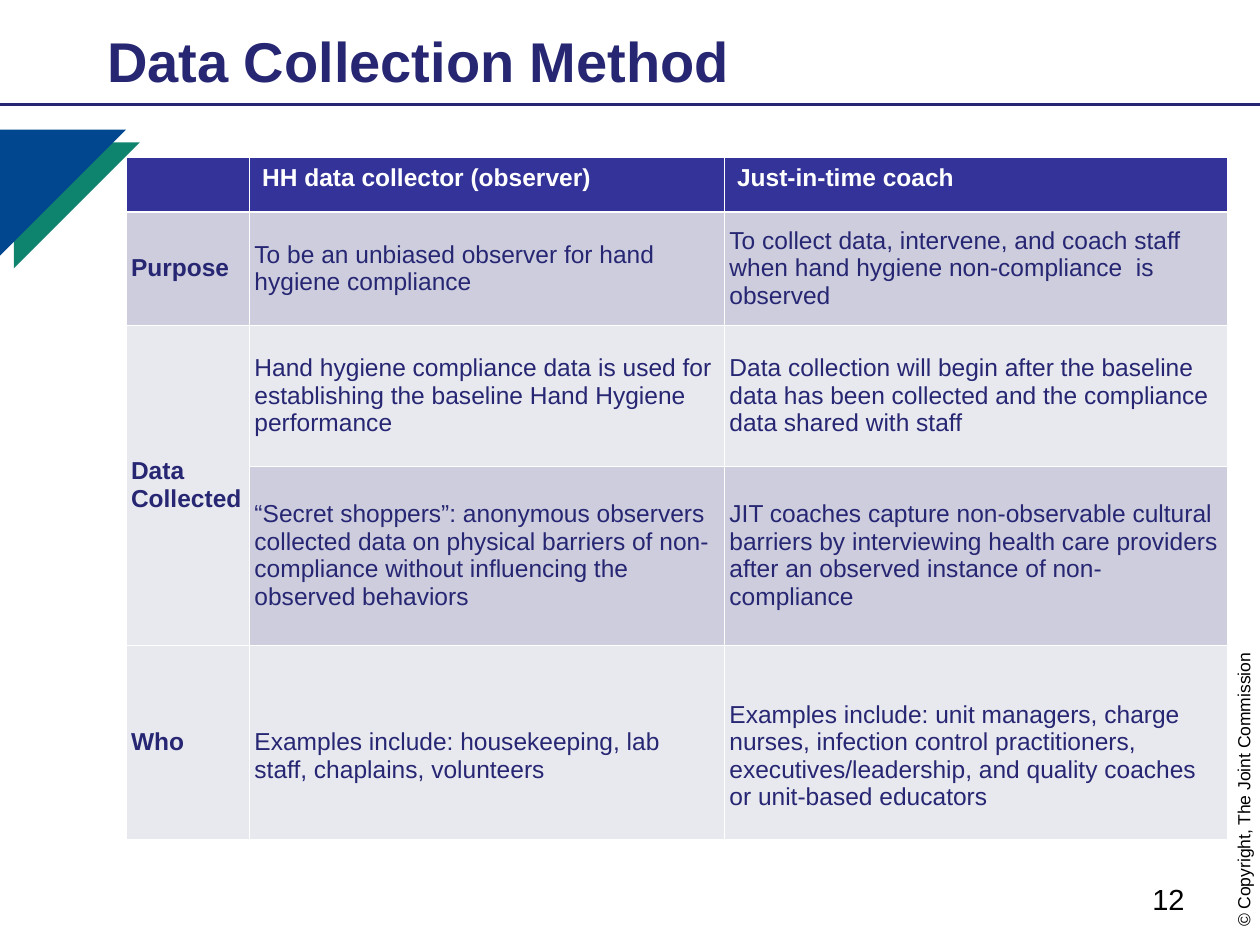
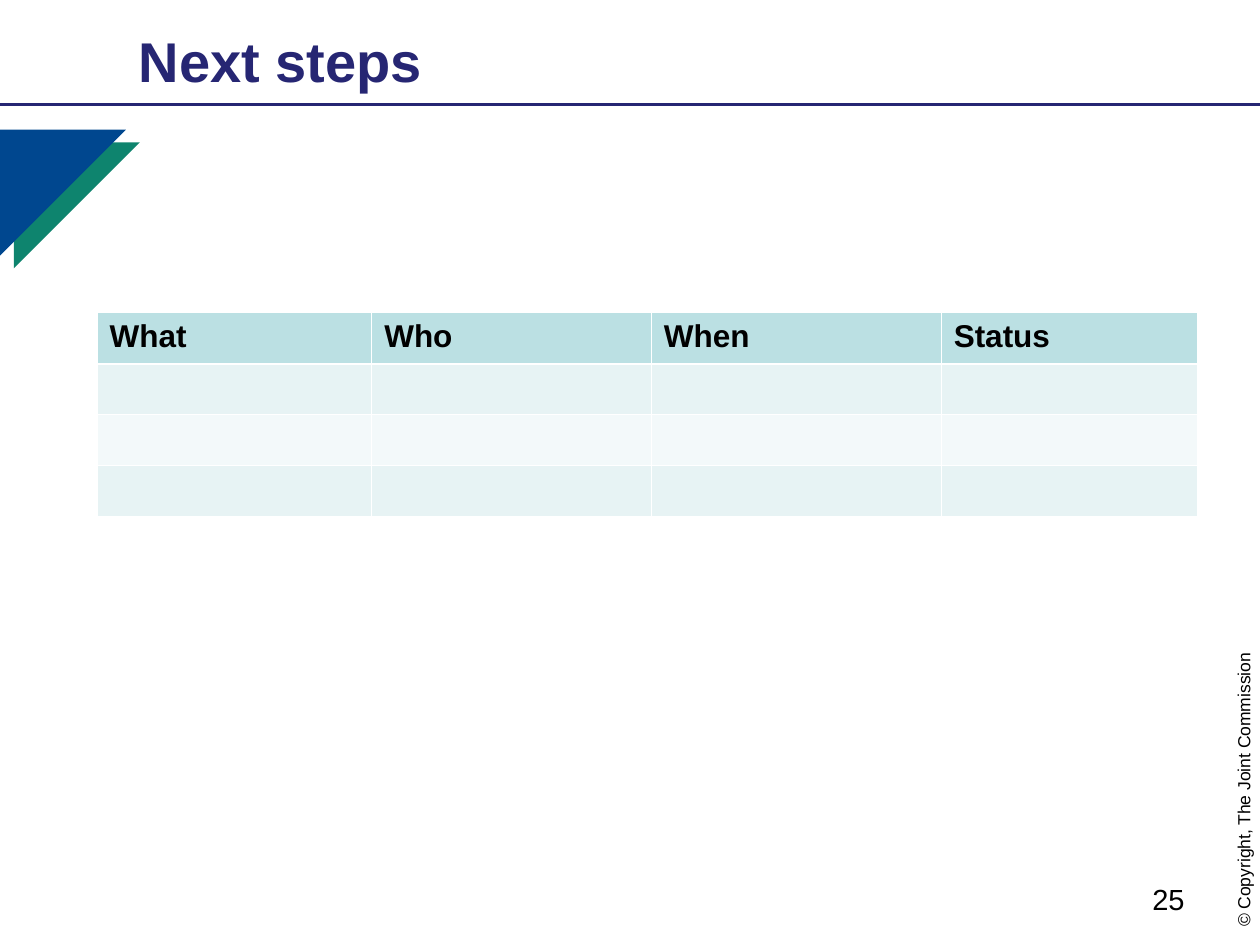
from lxml import etree
from pptx import Presentation
from pptx.dml.color import RGBColor
from pptx.enum.shapes import MSO_CONNECTOR
from pptx.enum.text import MSO_ANCHOR, MSO_AUTO_SIZE, PP_ALIGN
from pptx.oxml.ns import qn
from pptx.util import Inches, Pt

STRAIGHT = MSO_CONNECTOR.STRAIGHT
TOP, MIDDLE = MSO_ANCHOR.TOP, MSO_ANCHOR.MIDDLE
LEFT, RIGHT = PP_ALIGN.LEFT, PP_ALIGN.RIGHT
NO_AUTOFIT = MSO_AUTO_SIZE.NONE
TITLE_ONLY = 5

FONT = "Arial"
COLORS = {
    "navy": "262673", "blue": "00478F", "green": "0E846E",
    "black": "000000", "white": "FFFFFF", "indigo": "333399",
    "lilac": "CDCDDE", "pale_lilac": "E8E8EF",
    "aqua": "BBE0E3", "pale_aqua": "E7F3F4", "faint_aqua": "F3F9FA",
}
THIN, THICK = 0.45, 1.47  # table rules in points

METHOD_ROWS = [
    ["", "HH data collector (observer)", "Just-in-time coach"],
    ["Purpose",
     "To be an unbiased observer for hand hygiene compliance",
     "To collect data, intervene, and coach staff when hand hygiene "
     "non-compliance  is observed"],
    ["Data Collected",
     "Hand hygiene compliance data is used for establishing the baseline "
     "Hand Hygiene performance",
     "Data collection will begin after the baseline data has been collected "
     "and the compliance data shared with staff"],
    ["",
     "“Secret shoppers”: anonymous observers collected data on physical "
     "barriers of non-compliance without influencing the observed behaviors",
     "JIT coaches capture non-observable cultural barriers by interviewing "
     "health care providers after an observed instance of non-compliance"],
    ["Who",
     "Examples include: housekeeping, lab staff, chaplains, volunteers",
     "Examples include: unit managers, charge nurses, infection control "
     "practitioners, executives/leadership, and quality coaches or "
     "unit-based educators"],
]
STEP_HEADINGS = ["What", "Who", "When", "Status"]


def rgb(color):
    return RGBColor.from_string(COLORS[color])


def add_run(paragraph, text, size, color, bold=False):
    run = paragraph.add_run()
    run.text = text
    run.font.name = FONT
    run.font.size = Pt(size)
    run.font.bold = bold
    run.font.color.rgb = rgb(color)


def add_label(slide, text, box, size, align=LEFT, wrap=True, rotation=0):
    label = slide.shapes.add_textbox(*map(Inches, box))
    label.rotation = rotation
    label.text_frame.word_wrap = wrap
    paragraph = label.text_frame.paragraphs[0]
    paragraph.alignment = align
    add_run(paragraph, text, size, "black")


def add_corner_triangle(slide, left, top, color):
    builder = slide.shapes.build_freeform(Inches(left), Inches(top))
    builder.add_line_segments([(Inches(left + 1), Inches(top)),
                               (Inches(left), Inches(top + 1))], close=True)
    triangle = builder.convert_to_shape()
    triangle.shadow.inherit = False
    triangle.fill.solid()
    triangle.fill.fore_color.rgb = rgb(color)
    triangle.line.fill.background()


def add_title_rule(slide):
    rule = slide.shapes.add_connector(
        STRAIGHT, 0, Inches(0.83), Inches(10), Inches(0.83))
    rule.line.color.rgb = rgb("navy")
    rule.line.width = Pt(2)
    etree.SubElement(rule._element.spPr, qn("a:effectLst"))


def add_base_slide(prs, heading, heading_left, number):
    """Slide with title, rule, corner triangles, copyright and page number."""
    slide = prs.slides.add_slide(prs.slide_layouts[TITLE_ONLY])
    add_label(slide, "© Copyright, The Joint Commission",
              (8.68, 6.13, 2.38, 0.27), 10, wrap=False, rotation=270)
    add_corner_triangle(slide, 0.11, 1.13, "green")
    add_corner_triangle(slide, 0, 1.03, "blue")

    title = slide.shapes.title
    title.left, title.top = Inches(heading_left), 0
    title.width, title.height = Inches(8.38), Inches(0.95)
    title.text_frame.auto_size = NO_AUTOFIT
    title.text_frame.vertical_anchor = MIDDLE
    paragraph = title.text_frame.paragraphs[0]
    paragraph.alignment = LEFT
    add_run(paragraph, heading, 32, "navy", bold=True)

    add_title_rule(slide)
    add_label(slide, str(number), (5.98, 6.95, 3.52, 0.4), 16.6, RIGHT)
    return slide


def set_borders(cell, top, bottom):
    properties = cell._tc.get_or_add_tcPr()
    for side, width in (("L", THIN), ("R", THIN), ("T", top), ("B", bottom)):
        border = etree.SubElement(properties, qn(f"a:ln{side}"),
                                  w=str(int(Pt(width))))
        fill = etree.SubElement(border, qn("a:solidFill"))
        etree.SubElement(fill, qn("a:srgbClr"), val=COLORS["white"])


def add_grid(slide, left, top, widths, heights, fills):
    """Table with white rules, one fill per row, thick rule below the header."""
    table = slide.shapes.add_table(
        len(heights), len(widths), Inches(left), Inches(top),
        Inches(sum(widths)), Inches(sum(heights))).table
    table.first_row = table.horz_banding = False
    for column, width in zip(table.columns, widths):
        column.width = Inches(width)
    for i, (row, height, fill) in enumerate(zip(table.rows, heights, fills)):
        row.height = Inches(height)
        for cell in row.cells:
            set_borders(cell, THICK if i == 1 else THIN,
                        THICK if i == 0 else THIN)
            cell.fill.solid()
            cell.fill.fore_color.rgb = rgb(fill)
            cell.margin_top = cell.margin_bottom = 0
    return table


def fill_cell(cell, text, size, color, bold, side=0.1, upper=0.05, anchor=TOP):
    cell.margin_left = cell.margin_right = Inches(side)
    cell.margin_top, cell.margin_bottom = Inches(upper), Inches(0.05)
    cell.vertical_anchor = anchor
    add_run(cell.text_frame.paragraphs[0], text, size, color, bold)


def build_method_slide(prs):
    slide = add_base_slide(prs, "Data Collection Method", 0.75, 12)
    table = add_grid(slide, 1, 1.25, [0.98, 3.77, 3.99],
                     [0.43, 0.9, 1.12, 1.42, 1.54],
                     ["indigo", "lilac", "pale_lilac", "lilac", "pale_lilac"])
    table.cell(2, 0).merge(table.cell(3, 0))
    last = len(METHOD_ROWS) - 1
    for i, row in enumerate(METHOD_ROWS):
        for j, text in enumerate(row):
            if not text:
                continue
            if i == 0:
                fill_cell(table.cell(i, j), text, 14, "white", True)
            else:
                # The examples sit one line lower than centred text
                upper = 0.27 if i == last and j > 0 else 0.05
                fill_cell(table.cell(i, j), text, 14, "navy", j == 0,
                          0.04, upper, MIDDLE)


def build_next_steps_slide(prs):
    slide = add_base_slide(prs, "Next steps", 1, 25)
    table = add_grid(slide, 0.77, 2.48, [2.18, 2.22, 2.3, 2.03],
                     [0.41, 0.4, 0.4, 0.41],
                     ["aqua", "pale_aqua", "faint_aqua", "pale_aqua"])
    for j, heading in enumerate(STEP_HEADINGS):
        fill_cell(table.cell(0, j), heading, 18, "black", True)


def main():
    prs = Presentation()
    prs.slide_width, prs.slide_height = Inches(10), Inches(7.5)
    build_method_slide(prs)
    build_next_steps_slide(prs)
    prs.save("out.pptx")


if __name__ == "__main__":
    main()
